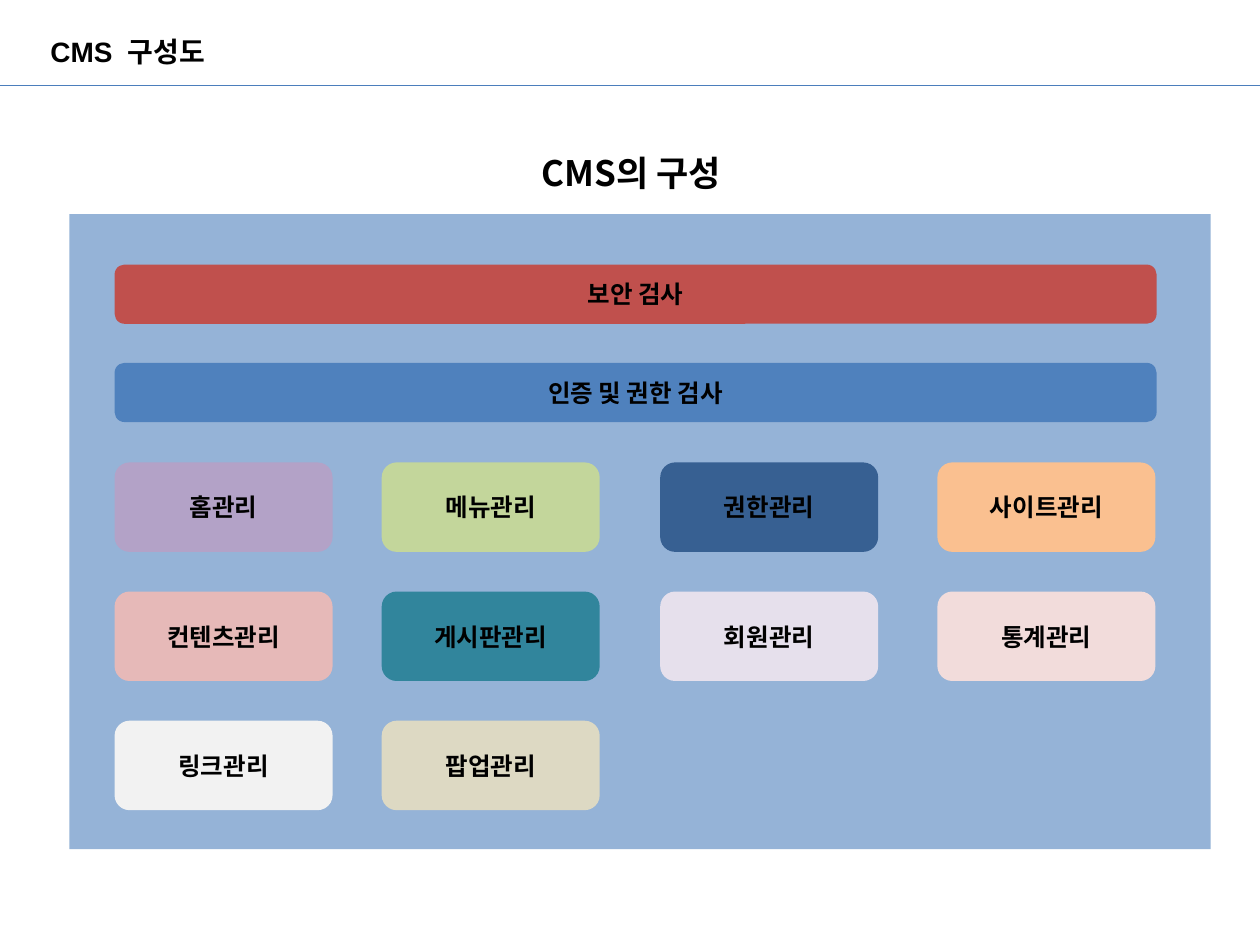
from dataclasses import dataclass
from lxml.etree import SubElement
from pptx import Presentation
from pptx.dml.color import RGBColor
from pptx.enum.shapes import MSO_CONNECTOR, MSO_SHAPE
from pptx.enum.text import MSO_ANCHOR, MSO_AUTO_SIZE, PP_ALIGN
from pptx.oxml.ns import qn
from pptx.util import Inches, Pt


@dataclass
class Theme:
    ink: str = "000000"
    rule: str = "4B7EBC"
    panel: str = "95B3D7"
    font: str = "Noto Sans CJK KR"
    head: int = 16
    label: int = 20
    body: int = 14


theme = Theme()


def write(shape, text, size, face, align):
    frame = shape.text_frame
    frame.text = text
    para = frame.paragraphs[0]
    para.alignment = align
    font = para.runs[0].font
    font.size, font.bold, font.name = Pt(size), True, face
    font.color.rgb = RGBColor.from_string(theme.ink)
    SubElement(font._element, qn("a:ea")).set("typeface", theme.font)


def draw(kind, left, top, width, height, fill):
    shape = slide.shapes.add_shape(
        kind, Inches(left), Inches(top), Inches(width), Inches(height))
    shape.shadow.inherit = False
    shape.fill.solid()
    shape.fill.fore_color.rgb = RGBColor.from_string(fill)
    shape.line.fill.background()
    return shape


deck = Presentation()
deck.slide_width, deck.slide_height = Inches(10), Inches(7.5)
slide = deck.slides.add_slide(deck.slide_layouts[5])

rule = slide.shapes.add_connector(
    MSO_CONNECTOR.STRAIGHT, Inches(10), Inches(0.68), Inches(0), Inches(0.68))
rule.line.color.rgb = RGBColor.from_string(theme.rule)
rule.line.width = Pt(0.75)
SubElement(rule._element.spPr, qn("a:effectLst"))

title = slide.shapes.title
title.left, title.top = Inches(0.3), Inches(0.13)
title.width, title.height = Inches(2.83), Inches(0.55)
write(title, "CMS  구성도", theme.head, "Arial", PP_ALIGN.LEFT)
title.text_frame.vertical_anchor = MSO_ANCHOR.MIDDLE
title.text_frame.auto_size = MSO_AUTO_SIZE.NONE

draw(MSO_SHAPE.RECTANGLE, 0.55, 1.7, 9.06, 5.04, theme.panel)

label = slide.shapes.add_textbox(
    Inches(4.2), Inches(1.15), Inches(1.75), Inches(0.44))
write(label, "CMS의 구성", theme.label, theme.font, PP_ALIGN.LEFT)
label.text_frame.word_wrap = False
label.text_frame.auto_size = MSO_AUTO_SIZE.SHAPE_TO_FIT_TEXT

bars = [("보안 검사", "C0504D"), ("인증 및 권한 검사", "4F81BD")]
tiles = [
    ("홈관리", "B3A2C7"), ("메뉴관리", "C3D69B"),
    ("권한관리", "376092"), ("사이트관리", "FAC090"),
    ("컨텐츠관리", "E6B9B8"), ("게시판관리", "31859C"),
    ("회원관리", "E6E0EC"), ("통계관리", "F2DCDB"),
    ("링크관리", "F2F2F2"), ("팝업관리", "DDD9C3"),
]
lefts = [0.91, 3.03, 5.24, 7.44]

boxes = [(text, fill, 0.91, 2.1 + 0.78 * row, 8.27, 0.47)
         for row, (text, fill) in enumerate(bars)]
boxes += [(text, fill, lefts[spot % 4], 3.67 + 1.025 * (spot // 4), 1.73, 0.71)
          for spot, (text, fill) in enumerate(tiles)]

for text, fill, left, top, width, height in boxes:
    box = draw(MSO_SHAPE.ROUNDED_RECTANGLE, left, top, width, height, fill)
    write(box, text, theme.body, theme.font, PP_ALIGN.CENTER)
    box.text_frame.vertical_anchor = MSO_ANCHOR.MIDDLE

deck.save("out.pptx")
